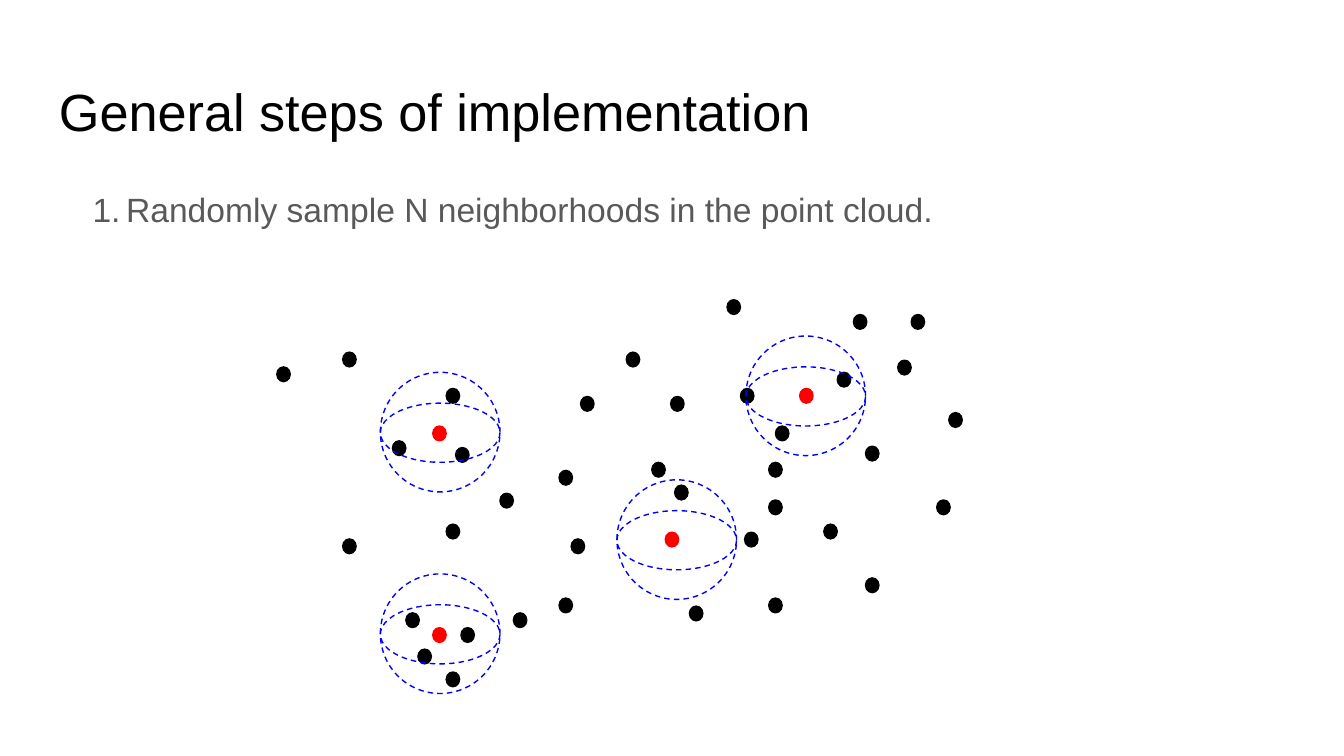
from lxml import etree
from pptx import Presentation
from pptx import util as u
from pptx.dml.color import RGBColor
from pptx.enum import dml, shapes, text
from pptx.oxml import ns

BLACK = RGBColor(0x00, 0x00, 0x00)
GRAY = RGBColor(0x59, 0x59, 0x59)
RED = RGBColor(0xFF, 0x00, 0x00)
BLUE = RGBColor(0x00, 0x00, 0xFF)

PAGE_WIDTH = u.Inches(10)
PAGE_HEIGHT = PAGE_WIDTH * 9 // 16
DOT_SIZE = (0.10, 0.11)
SPHERE_SIZE = 0.89
EQUATOR_HEIGHT = 0.44
EQUATOR_DROP = 0.23

CLOUD_POINTS = [
    (2.06, 2.73), (2.55, 4.01), (2.55, 2.62), (4.66, 2.62), (2.92, 3.28),
    (3.32, 2.89), (4.16, 3.50), (3.32, 3.90), (3.82, 4.56), (4.85, 3.44),
    (4.25, 4.01), (5.72, 4.45), (5.77, 3.17), (5.13, 4.51), (6.44, 4.30),
    (7.06, 3.07), (5.72, 3.44), (5.41, 2.23), (6.35, 2.34), (6.97, 3.72),
    (3.39, 3.33), (5.51, 2.89), (3.72, 3.67), (6.13, 3.90), (6.44, 3.32),
    (5.02, 3.61), (5.54, 3.96), (5.72, 3.72), (4.32, 2.95), (4.99, 2.95),
    (3.02, 4.56), (4.16, 4.45), (3.32, 5.00), (3.43, 4.67), (3.11, 4.83),
    (6.78, 2.34), (6.23, 2.77), (6.68, 2.68),
]
SAMPLED_POINTS = [(3.22, 3.17), (4.95, 3.96), (3.22, 4.67), (5.95, 2.89)]
SPHERES = [(2.83, 2.77), (2.83, 4.27), (4.59, 3.57), (5.55, 2.50)]


def set_all(target, values):
    for name, value in values.items():
        setattr(target, name, value)


def add_text(page, words, top, height, size, color):
    box = page.shapes.add_textbox(
        u.Inches(0.34), u.Inches(top), u.Inches(9.32), u.Inches(height))
    margins = ("margin_left", "margin_top", "margin_right", "margin_bottom")
    set_all(box.text_frame, dict.fromkeys(margins, u.Inches(0.1)))
    set_all(box.text_frame, {
        "word_wrap": True, "vertical_anchor": text.MSO_ANCHOR.TOP})
    para = box.text_frame.paragraphs[0]
    span = para.add_run()
    span.text = words
    set_all(span.font, {"name": "Arial", "size": u.Pt(size)})
    span.font.color.rgb = color
    return para


def number_step(para, color):
    set_all(para, {"line_spacing": 1.15, "space_after": u.Pt(16)})
    properties = para._p.get_or_add_pPr()
    properties.set("marL", str(u.Inches(0.5)))
    properties.set("indent", str(u.Inches(-0.25)))
    bullet_color = etree.SubElement(properties, ns.qn("a:buClr"))
    etree.SubElement(bullet_color, ns.qn("a:srgbClr"), val=str(color))
    etree.SubElement(properties, ns.qn("a:buFont"), typeface="Arial")
    etree.SubElement(properties, ns.qn("a:buAutoNum"), type="arabicPeriod")


def add_ellipse(page, left, top, width, height, color):
    ellipse = page.shapes.add_shape(
        shapes.MSO_SHAPE.OVAL, u.Inches(left), u.Inches(top),
        u.Inches(width), u.Inches(height))
    ellipse.shadow.inherit = False
    ellipse.line.color.rgb = color
    ellipse.line.width = u.Pt(0.75)
    return ellipse


def add_dot(page, left, top, color):
    dot = add_ellipse(page, left, top, *DOT_SIZE, color)
    dot.fill.solid()
    dot.fill.fore_color.rgb = color


def add_sphere(page, left, top):
    for drop, height in ((0, SPHERE_SIZE), (EQUATOR_DROP, EQUATOR_HEIGHT)):
        outline = add_ellipse(page, left, top + drop, SPHERE_SIZE, height, BLUE)
        outline.fill.background()
        outline.line.dash_style = dml.MSO_LINE.DASH


def main():
    deck = Presentation()
    set_all(deck, {"slide_width": PAGE_WIDTH, "slide_height": PAGE_HEIGHT})
    page = deck.slides.add_slide(deck.slide_layouts[6])

    add_text(page, "General steps of implementation", 0.49, 0.63, 28, BLACK)
    step = add_text(page, "Randomly sample N neighborhoods in the point cloud.",
                    1.26, 3.74, 18, GRAY)
    number_step(step, GRAY)

    for points, color in ((CLOUD_POINTS, BLACK), (SAMPLED_POINTS, RED)):
        for left, top in points:
            add_dot(page, left, top, color)
    for left, top in SPHERES:
        add_sphere(page, left, top)

    deck.save("out.pptx")


if __name__ == "__main__":
    main()
